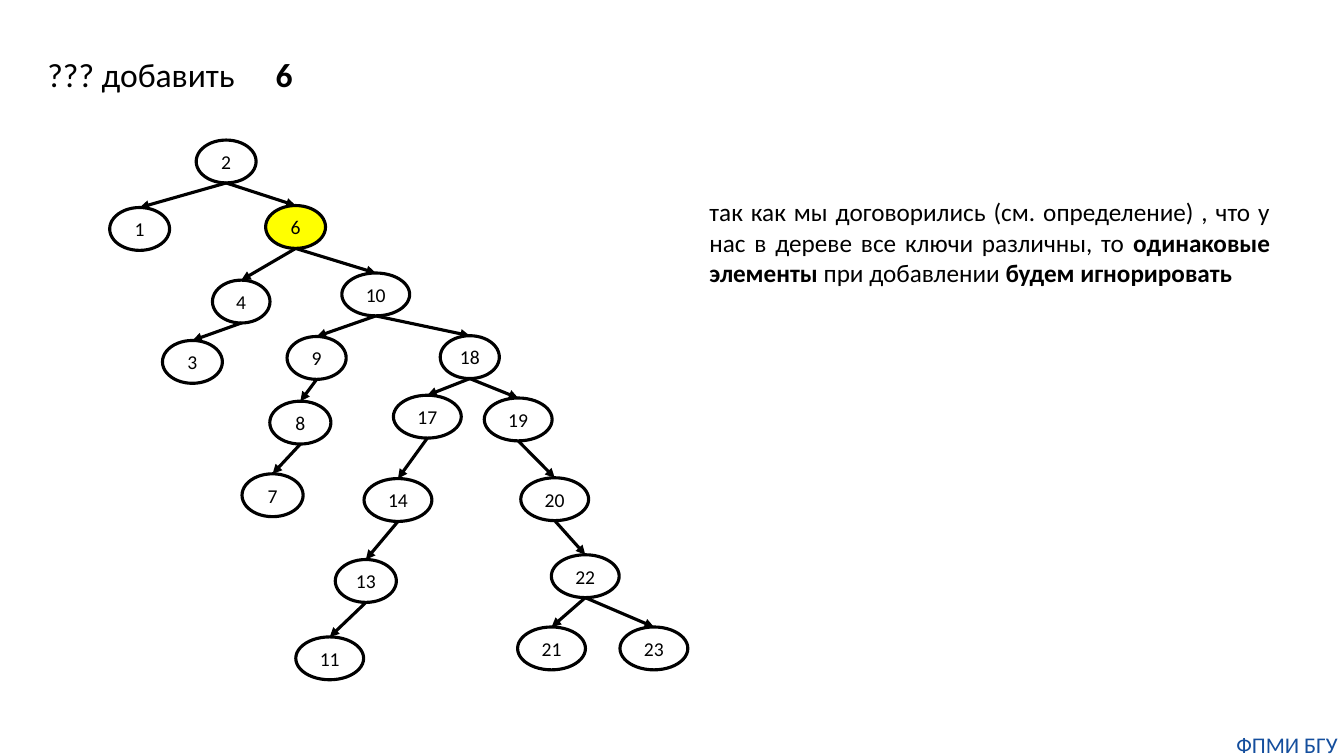
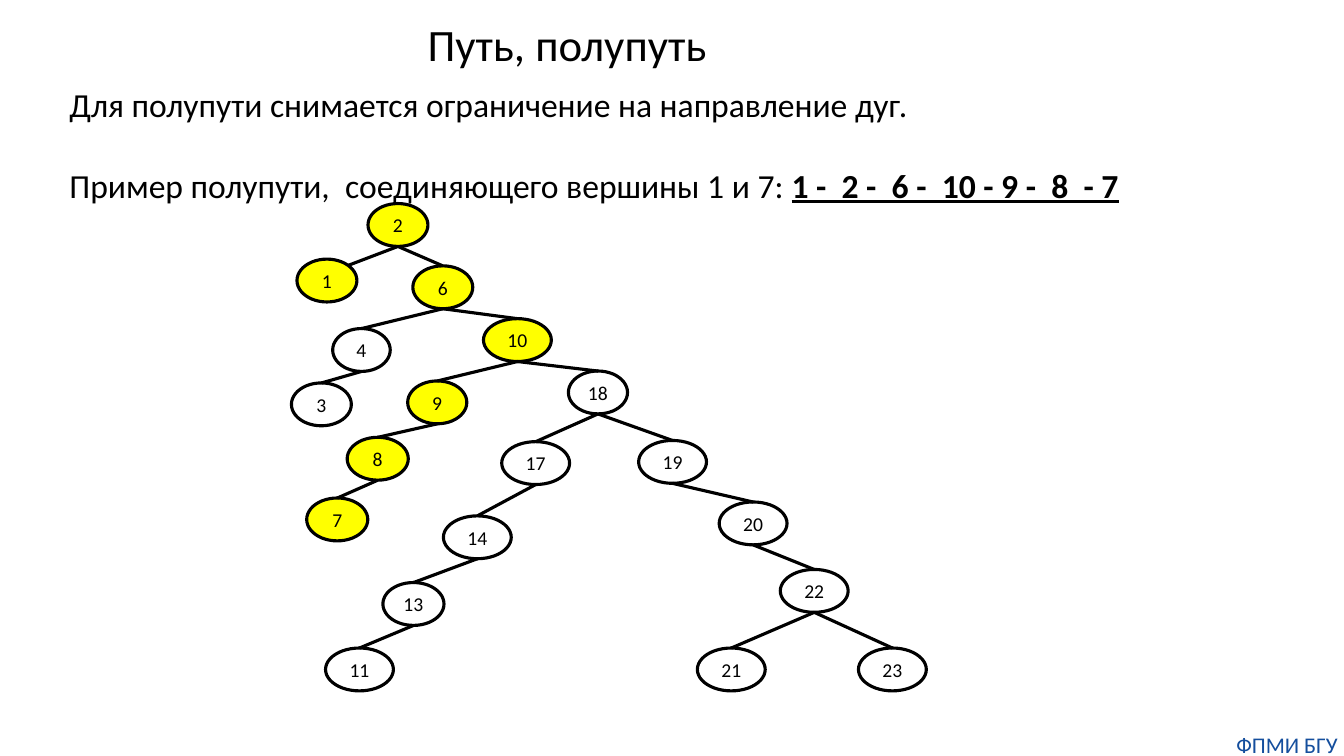
"""Build two slides about a binary search tree: adding a key and a semipath."""
from lxml import etree
from pptx import Presentation
from pptx.dml.color import RGBColor
from pptx.enum.shapes import MSO_CONNECTOR, MSO_SHAPE
from pptx.enum.text import MSO_ANCHOR, MSO_AUTO_SIZE, PP_ALIGN
from pptx.oxml.ns import qn
from pptx.util import Cm, Pt

STRAIGHT, ELLIPSE = MSO_CONNECTOR.STRAIGHT, MSO_SHAPE.OVAL
TOP, MIDDLE = MSO_ANCHOR.TOP, MSO_ANCHOR.MIDDLE
LEFT, CENTER, JUSTIFY = PP_ALIGN.LEFT, PP_ALIGN.CENTER, PP_ALIGN.JUSTIFY
FIXED = MSO_AUTO_SIZE.NONE

COLORS = {"ink": "000000", "marked": "FFFF00", "footer": "144E9D"}
FONT = "Calibri"
SIZES = {"key": 14, "footer": 16, "note": 18, "body": 24, "title": 32}
BOLD = {"bold": True}
BOLD_UNDERLINED = {"bold": True, "underline": True}

CHILDREN = {
    2: (1, 6), 6: (4, 10), 4: (3,), 10: (9, 18), 9: (8,), 8: (7,),
    18: (17, 19), 17: (14,), 14: (13,), 13: (11,), 19: (20,),
    20: (22,), 22: (21, 23),
}
NODE_HEIGHT, WIDE_NODE = 1.08, 1.71
NODE_WIDTHS = {4: 1.45, 9: 1.49, 18: 1.49, 1: 1.51, 2: 1.51, 3: 1.51,
               6: 1.51, 7: 1.54, 8: 1.54, 13: 1.54}
BOTTOM_SITE, TOP_RIGHT_SITE = 4, 7
DIAGONAL = 0.5 ** 0.5

FOOTER = {"box": (31, 18.42, 2.87, 0.69), "size": "footer", "color": "footer",
          "align": CENTER, "margin": 0, "paragraphs": [[("ФПМИ БГУ", {})]]}

SLIDES = [
    {
        "title": {"box": (0.94, 1.24, 5.46, 1.28), "size": "body", "wrap": False,
                  "paragraphs": [[("??? добавить", {})]]},
        "texts": [
            {"box": (6.7, 1.24, 0.94, 1.28), "size": "body", "wrap": False,
             "paragraphs": [[("6", BOLD)]]},
            {"box": (17.63, 4.83, 14.63, 2.57), "size": "note", "align": JUSTIFY,
             "paragraphs": [[
                 ("так как мы договорились (см. определение) , что у нас "
                  "в дереве все ключи различны, то ", {}),
                 ("одинаковые элементы ", BOLD),
                 ("при добавлении ", {}),
                 ("будем игнорировать", BOLD)]]},
        ],
        "arrows": True, "marked": {6}, "corner_links": set(),
        "nodes": {
            1: (3.52, 5.23), 2: (5.7, 3.53), 3: (4.85, 8.58), 4: (6.08, 7.06),
            6: (7.45, 5.18), 7: (6.87, 11.94), 8: (7.57, 10.11), 9: (7.98, 8.48),
            10: (9.47, 6.88), 11: (8.31, 16.05), 13: (9.22, 14.1),
            14: (10.03, 12.06), 17: (10.77, 9.96), 18: (11.84, 8.46),
            19: (13.06, 10.03), 20: (13.98, 12.04), 21: (13.9, 15.8),
            22: (14.75, 13.98), 23: (16.48, 15.8),
        },
    },
    {
        "title": {"box": (10.52, 0.3, 7.85, 1.62), "size": "title", "wrap": False,
                  "paragraphs": [[("Путь, полупуть", {})]]},
        "texts": [
            {"box": (1.5, 1.98, 32.36, 3.33), "size": "body", "gap": 29,
             "paragraphs": [
                 [("Для полупути снимается ограничение на направление дуг.", {})],
                 [("Пример полупути,  соединяющего вершины 1 и 7: ", {}),
                  ("1 -  2 -  6 -  10 - 9 -  8  - 7", BOLD_UNDERLINED)]]},
        ],
        "arrows": False, "marked": {1, 2, 6, 10, 9, 8, 7}, "corner_links": {1},
        "nodes": {
            1: (8.24, 6.53), 2: (10.03, 5.13), 3: (8.1, 9.65), 4: (9.11, 8.28),
            6: (11.16, 6.7), 7: (8.5, 12.55), 8: (9.52, 11.02), 9: (11.02, 9.6),
            10: (13.04, 8.03), 11: (9.06, 16.33), 13: (10.42, 14.68),
            14: (12.03, 13), 17: (13.5, 11.13), 18: (15.07, 9.35),
            19: (16.95, 11.1), 20: (18.98, 12.65), 21: (18.43, 16.33),
            22: (20.52, 14.35), 23: (22.49, 16.33),
        },
    },
]


def color(name):
    return RGBColor.from_string(COLORS[name])


def set_values(target, values):
    for attribute, value in values.items():
        setattr(target, attribute, value)


def write(frame, content):
    set_values(frame, {"auto_size": FIXED, "word_wrap": content.get("wrap", True),
                       "vertical_anchor": content.get("anchor", TOP)})
    if "margin" in content:
        margin = Cm(content["margin"])
        set_values(frame, {f"margin_{side}": margin
                           for side in ("left", "top", "right", "bottom")})
    for index, runs in enumerate(content["paragraphs"]):
        paragraph = frame.add_paragraph() if index else frame.paragraphs[0]
        paragraph.alignment = content.get("align", LEFT)
        paragraph.space_before = Pt(content.get("gap", 0) if index else 0)
        for text, emphasis in runs:
            run = paragraph.add_run()
            run.text = text
            set_values(run.font, {"name": FONT, "size": Pt(SIZES[content["size"]]),
                                  **emphasis})
            run.font.color.rgb = color(content.get("color", "ink"))


def add_text(slide, content):
    box = slide.shapes.add_textbox(*map(Cm, content["box"]))
    write(box.text_frame, content)


def add_title(slide, content):
    title = slide.shapes.title
    set_values(title, dict(zip(("left", "top", "width", "height"),
                               map(Cm, content["box"]))))
    write(title.text_frame, content)


def draw_outline(line):
    line.color.rgb = color("ink")
    line.width = Pt(2.25)


def add_node(slide, key, center, top, marked):
    width = NODE_WIDTHS.get(key, WIDE_NODE)
    node = slide.shapes.add_shape(ELLIPSE, Cm(center - width / 2), Cm(top),
                                  Cm(width), Cm(NODE_HEIGHT))
    node.shadow.inherit = False
    if marked:
        node.fill.solid()
        node.fill.fore_color.rgb = color("marked")
    else:
        node.fill.background()
    draw_outline(node.line)
    write(node.text_frame, {"size": "key", "align": CENTER, "anchor": MIDDLE,
                            "margin": 0, "wrap": False,
                            "paragraphs": [[(str(key), {})]]})
    return node


def add_link(slide, parent, child, arrow, to_corner):
    link = slide.shapes.add_connector(STRAIGHT, 0, 0, 0, 0)
    link.begin_connect(parent, 2)
    link.end_connect(child, 0)
    element = link._element
    element.find(".//" + qn("a:stCxn")).set("idx", str(BOTTOM_SITE))
    if to_corner:
        element.find(".//" + qn("a:endCxn")).set("idx", str(TOP_RIGHT_SITE))
        link.end_x = child.left + round(child.width * (1 + DIAGONAL) / 2)
        link.end_y = child.top + round(child.height * (1 - DIAGONAL) / 2)
    draw_outline(link.line)
    if arrow:
        etree.SubElement(link.line._get_or_add_ln(), qn("a:tailEnd"), type="triangle")
    etree.SubElement(element.spPr, qn("a:effectLst"))


def add_tree(slide, tree):
    nodes = {key: add_node(slide, key, center, top, key in tree["marked"])
             for key, (center, top) in tree["nodes"].items()}
    for parent, children in CHILDREN.items():
        for child in children:
            add_link(slide, nodes[parent], nodes[child], tree["arrows"],
                     child in tree["corner_links"])


def main():
    presentation = Presentation()
    presentation.slide_width, presentation.slide_height = Cm(33.87), Cm(19.05)
    title_only = presentation.slide_layouts[5]
    for content in SLIDES:
        slide = presentation.slides.add_slide(title_only)
        add_title(slide, content["title"])
        add_tree(slide, content)
        for text in content["texts"] + [FOOTER]:
            add_text(slide, text)
    presentation.save("out.pptx")


if __name__ == "__main__":
    main()
